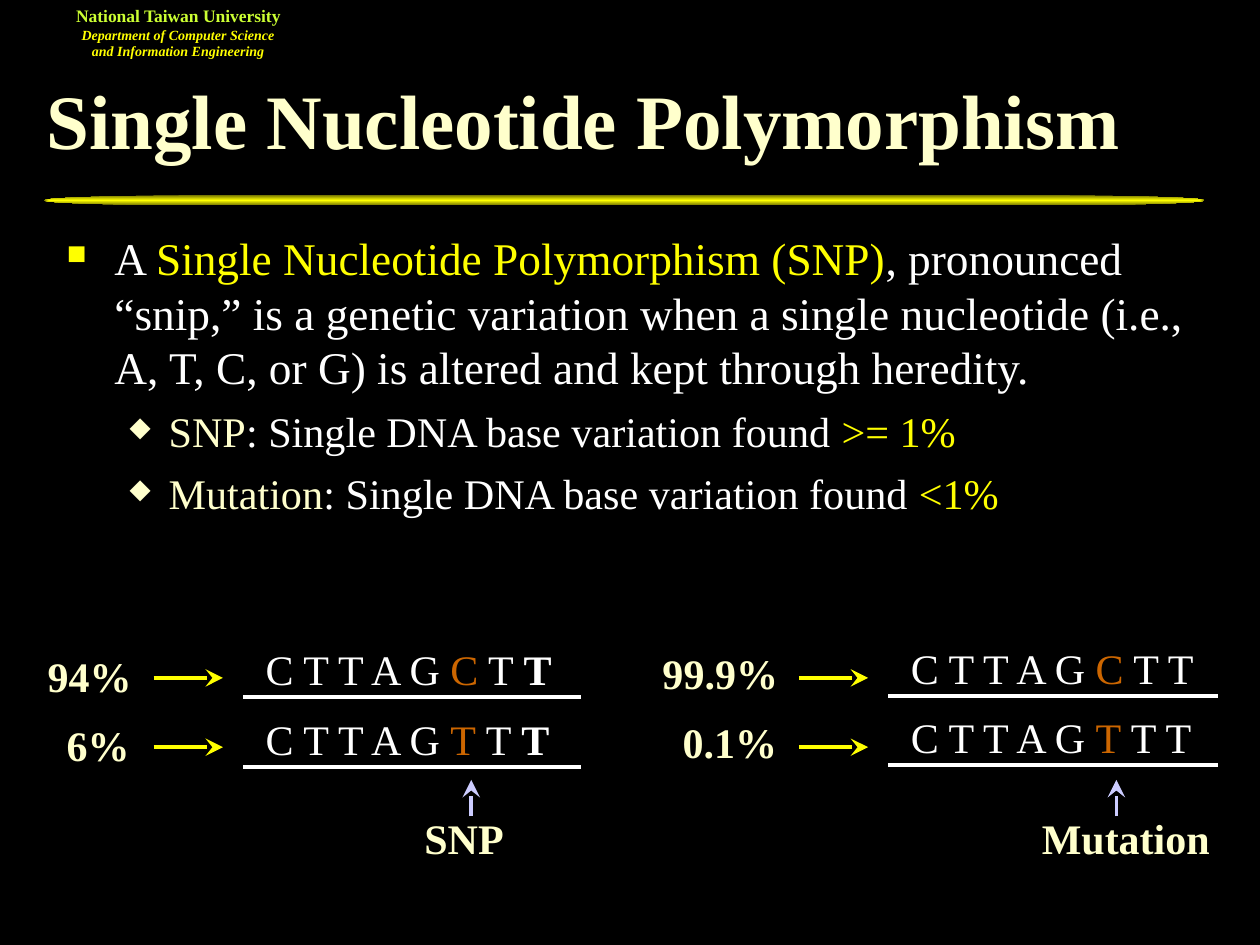
"""Build a slide that contrasts SNPs with mutations."""
from lxml.etree import SubElement
from pptx import Presentation
from pptx.dml.color import RGBColor
from pptx.enum.shapes import MSO_CONNECTOR as CONN, MSO_SHAPE as SHAPE
from pptx.enum.text import MSO_ANCHOR as ANCHOR, PP_ALIGN as ALIGN
from pptx.oxml import parse_xml
from pptx.oxml.ns import nsdecls, qn
from pptx.util import Inches, Pt

FONT = "Times New Roman"
COLORS = {
    "black": "000000", "white": "FFFFFF", "yellow": "FFFF00", "olive": "767600",
    "cream": "FFFFCC", "lime": "CCFF33", "orange": "CC6600", "lilac": "CCCCFF",
}
TITLE = "Single Nucleotide Polymorphism"
HEADER = [
    ("National Taiwan University", 10, "lime", False),
    ("Department of Computer Science and Information Engineering", 8, "yellow", True),
]
BULLETS = [
    (0, [("A ", "white"), ("Single Nucleotide Polymorphism (SNP)", "yellow"),
         (", pronounced “snip,” is a genetic variation when a single nucleotide "
          "(i.e., A, T, C, or G) is altered and kept through heredity.", "white")]),
    (1, [("SNP", "cream"), (": Single DNA base variation found ", "white"),
         (">= 1%", "yellow")]),
    (1, [("Mutation", "cream"), (": Single DNA base variation found ", "white"),
         ("<1%", "yellow")]),
]
LEVELS = [
    dict(size=25.9, before=7, left=0.38, hang=0.38, char="■", color="yellow", scale=60),
    dict(size=24.1, before=6.5, left=0.81, hang=0.31, char="◆", color="cream", scale=65),
]
PANELS = [
    dict(x=0, y=5.06, rule=2.68, bold_end=True, label=("SNP", 3.27, 1.18),
         rates=[("94%", 0.28, 5.11), ("6%", 0.43, 5.66)]),
    dict(x=5.12, y=5.05, rule=2.62, bold_end=False, label=("Mutation", 8.07, 1.73),
         rates=[("99.9%", 5.16, 5.09), ("0.1%", 5.32, 5.64)]),
]
ALLELES = "CT"
ROW_GAP = 0.55


def rgb(name):
    return RGBColor.from_string(COLORS[name])


def add_box(s, x, y, w, h, inset=(0.1, 0.05)):
    tf = s.shapes.add_textbox(Inches(x), Inches(y), Inches(w), Inches(h)).text_frame
    tf.word_wrap = True
    tf.margin_left = tf.margin_right = Inches(inset[0])
    tf.margin_top = tf.margin_bottom = Inches(inset[1])
    return tf


def style(p, size, color=None, bold=None, italic=None):
    p.font.name, p.font.size = FONT, Pt(size)
    p.font.bold, p.font.italic = bold, italic
    if color:
        p.font.color.rgb = rgb(color)


def add_runs(p, runs):
    for text, color, *bold in runs:
        r = p.add_run()
        r.text = text
        r.font.color.rgb = rgb(color)
        if bold:
            r.font.bold = bold[0]


def add_label(s, text, x, y, w, h=0.5, size=24):
    tf = add_box(s, x, y, w, h)
    p = tf.paragraphs[0]
    p.text = text
    style(p, size, "cream", bold=True)
    return tf


def add_line(s, x1, y1, x2, y2, color, width, arrow=False):
    c = s.shapes.add_connector(
        CONN.STRAIGHT, Inches(x1), Inches(y1), Inches(x2), Inches(y2))
    c.line.color.rgb, c.line.width = rgb(color), Pt(width)
    if arrow:
        SubElement(c.line._get_or_add_ln(), qn("a:tailEnd"),
                   type="stealth", w="lg", len="lg")
    SubElement(c._element.spPr, qn("a:effectLst"))


def add_divider(s):
    sp = s.shapes.add_shape(SHAPE.FLOWCHART_TERMINATOR, Inches(0.35), Inches(1.55),
                            Inches(9.21), Inches(0.08))
    sp.shadow.inherit = False
    sp.line.fill.background()
    stops = "".join(f'<a:gs pos="{pos}"><a:srgbClr val="{COLORS[c]}"/></a:gs>'
                    for pos, c in ((0, "yellow"), (100000, "olive")))
    sp._element.spPr.find(qn("a:prstGeom")).addnext(parse_xml(
        f'<a:gradFill {nsdecls("a")}><a:gsLst>{stops}</a:gsLst><a:path path="rect">'
        '<a:fillToRect l="50000" t="50000" r="50000" b="50000"/></a:path></a:gradFill>'))


def add_header(s):
    tf = add_box(s, 0.43, -0.03, 1.97, 0.57, (0.13, 0.07))
    for i, (text, size, color, italic) in enumerate(HEADER):
        p = tf.add_paragraph() if i else tf.paragraphs[0]
        p.text, p.alignment = text, ALIGN.CENTER
        style(p, size, color, bold=True, italic=italic)


def add_bullets(s):
    tf = add_box(s, 0.43, 1.78, 9.32, 2.4)
    for i, (level, runs) in enumerate(BULLETS):
        p = tf.add_paragraph() if i else tf.paragraphs[0]
        lv = LEVELS[level]
        p.level, p.space_before = level, Pt(lv["before"])
        style(p, lv["size"])
        add_runs(p, runs)
        pPr = p._p.get_or_add_pPr()
        pPr.set("marL", str(Inches(lv["left"])))
        pPr.set("indent", str(-Inches(lv["hang"])))
        bullet = [
            f'<a:buClr {nsdecls("a")}><a:srgbClr val="{COLORS[lv["color"]]}"/></a:buClr>',
            f'<a:buSzPct {nsdecls("a")} val="{lv["scale"] * 1000}"/>',
            f'<a:buChar {nsdecls("a")} char="{lv["char"]}"/>',
        ]
        for xml in bullet:
            pPr.find(qn("a:defRPr")).addprevious(parse_xml(xml))


def add_panel(s, panel):
    x, y = panel["x"], panel["y"]
    for i, (allele, rate) in enumerate(zip(ALLELES, panel["rates"])):
        dy = i * ROW_GAP
        p = add_box(s, x + 2.01, y + dy, 2.85, 0.5).paragraphs[0]
        style(p, 24)
        add_runs(p, [("C T T A G ", "white"), (allele, "orange"), (" T ", "white"),
                     ("T", "white", panel["bold_end"])])
        rule_y = y + 0.475 + dy
        add_line(s, x + 1.93, rule_y, x + 1.93 + panel["rule"], rule_y, "white", 2.25)
        add_label(s, *rate, 1.2)
        add_line(s, x + 1.22, 5.38 + dy, x + 1.77, 5.38 + dy, "yellow", 2, arrow=True)
    text, label_x, label_w = panel["label"]
    tf = add_label(s, text, label_x, 6.4, label_w)
    if x:
        tf.paragraphs[0].alignment = ALIGN.CENTER
    add_line(s, x + 3.74, 6.48, x + 3.74, 6.19, "lilac", 2, arrow=True)


def main():
    prs = Presentation()
    prs.slide_width, prs.slide_height = Inches(10), Inches(7.5)
    s = prs.slides.add_slide(prs.slide_layouts[6])
    s.background.fill.solid()
    s.background.fill.fore_color.rgb = rgb("black")
    add_divider(s)
    add_header(s)
    tf = add_label(s, TITLE, 0.27, 0.52, 9.48, 1.02, 44)
    tf.vertical_anchor = ANCHOR.MIDDLE
    tf.paragraphs[0].line_spacing = 0.7
    add_bullets(s)
    for panel in PANELS:
        add_panel(s, panel)
    prs.save("out.pptx")


if __name__ == "__main__":
    main()
